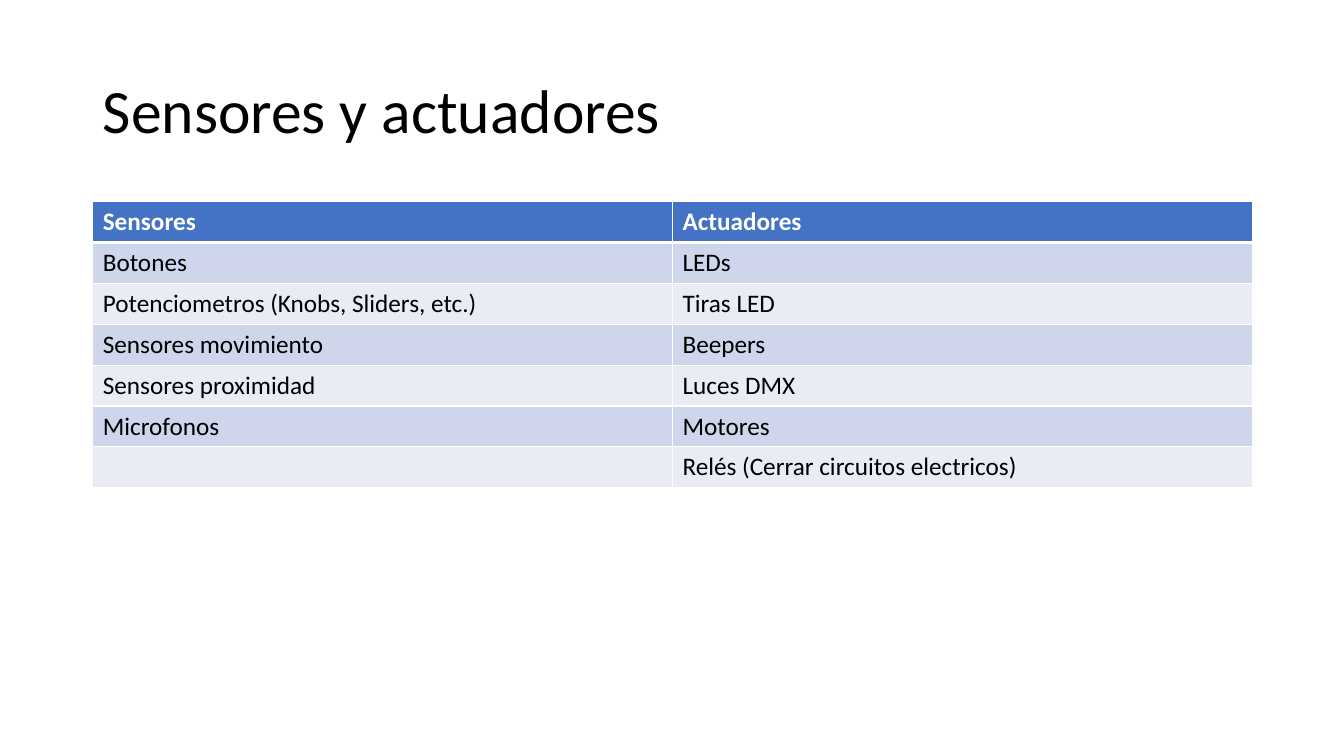
from dataclasses import dataclass
from itertools import zip_longest

from lxml import etree
from pptx import Presentation
from pptx.dml.color import RGBColor
from pptx.enum.text import MSO_ANCHOR, PP_ALIGN
from pptx.oxml.ns import qn
from pptx.util import Inches, Pt

MIDDLE = MSO_ANCHOR.MIDDLE
TOP = MSO_ANCHOR.TOP
LEFT = PP_ALIGN.LEFT
TITLE_ONLY = 5


@dataclass(frozen=True)
class Theme:
    font: str = "Calibri"
    ink: str = "000000"
    paper: str = "FFFFFF"
    header: str = "4472C4"
    bands: tuple = ("CFD5EA", "E9EBF5")
    title_size: int = 44
    body_size: int = 18
    rule: int = 1
    header_rule: int = 3


THEME = Theme()
SLIDE_WIDTH, SLIDE_HEIGHT = Inches(13.33), Inches(7.5)
MARGIN = Inches(0.92)
CONTENT_WIDTH = Inches(11.5)
ROW_HEIGHT = Inches(2.84 / 7)

SENSORS = ["Botones", "Potenciometros (Knobs, Sliders, etc.)",
           "Sensores movimiento", "Sensores proximidad", "Microfonos"]
ACTUATORS = ["LEDs", "Tiras LED", "Beepers", "Luces DMX", "Motores",
             "Relés (Cerrar circuitos electricos)"]


def write(frame, text, size=THEME.body_size, color=THEME.ink, bold=False,
          anchor=TOP, spacing=1.0):
    frame.word_wrap = True
    frame.vertical_anchor = anchor
    paragraph = frame.paragraphs[0]
    paragraph.alignment = LEFT
    paragraph.line_spacing = spacing
    paragraph.font.size = Pt(size)
    if text:
        run = paragraph.add_run()
        run.text = text
        run.font.name = THEME.font
        run.font.size = Pt(size)
        run.font.bold = bold
        run.font.color.rgb = RGBColor.from_string(color)


def add_borders(cell, top, bottom):
    """Draw the cell's four borders; call before the cell is filled."""
    properties = cell._tc.get_or_add_tcPr()
    widths = {"a:lnL": THEME.rule, "a:lnR": THEME.rule,
              "a:lnT": top, "a:lnB": bottom}
    for side, width in widths.items():
        line = etree.SubElement(properties, qn(side), w=str(Pt(width)))
        fill = etree.SubElement(line, qn("a:solidFill"))
        etree.SubElement(fill, qn("a:srgbClr"), val=THEME.paper)


def place_title(slide, text, left, top, width, height):
    title = slide.shapes.title
    title.left, title.top, title.width, title.height = left, top, width, height
    write(title.text_frame, text, size=THEME.title_size, anchor=MIDDLE,
          spacing=0.9)


def place_table(slide, rows, left, top, width):
    columns = len(rows[0])
    table = slide.shapes.add_table(len(rows), columns, left, top, width,
                                   ROW_HEIGHT * len(rows)).table
    for column in table.columns:
        column.width = width // columns
    for r, texts in enumerate(rows):
        is_header = r == 0
        background = THEME.header if is_header else THEME.bands[(r - 1) % 2]
        for c, text in enumerate(texts):
            cell = table.cell(r, c)
            add_borders(cell,
                        top=THEME.header_rule if r == 1 else THEME.rule,
                        bottom=THEME.header_rule if is_header else THEME.rule)
            cell.fill.solid()
            cell.fill.fore_color.rgb = RGBColor.from_string(background)
            write(cell.text_frame, text, bold=is_header,
                  color=THEME.paper if is_header else THEME.ink)


def main():
    deck = Presentation()
    deck.slide_width, deck.slide_height = SLIDE_WIDTH, SLIDE_HEIGHT
    slide = deck.slides.add_slide(deck.slide_layouts[TITLE_ONLY])
    place_title(slide, "Sensores y actuadores", MARGIN, Inches(0.4),
                CONTENT_WIDTH, Inches(1.45))
    rows = [("Sensores", "Actuadores"),
            *zip_longest(SENSORS, ACTUATORS, fillvalue="")]
    place_table(slide, rows, MARGIN, Inches(2), CONTENT_WIDTH)
    deck.save("out.pptx")


if __name__ == "__main__":
    main()
